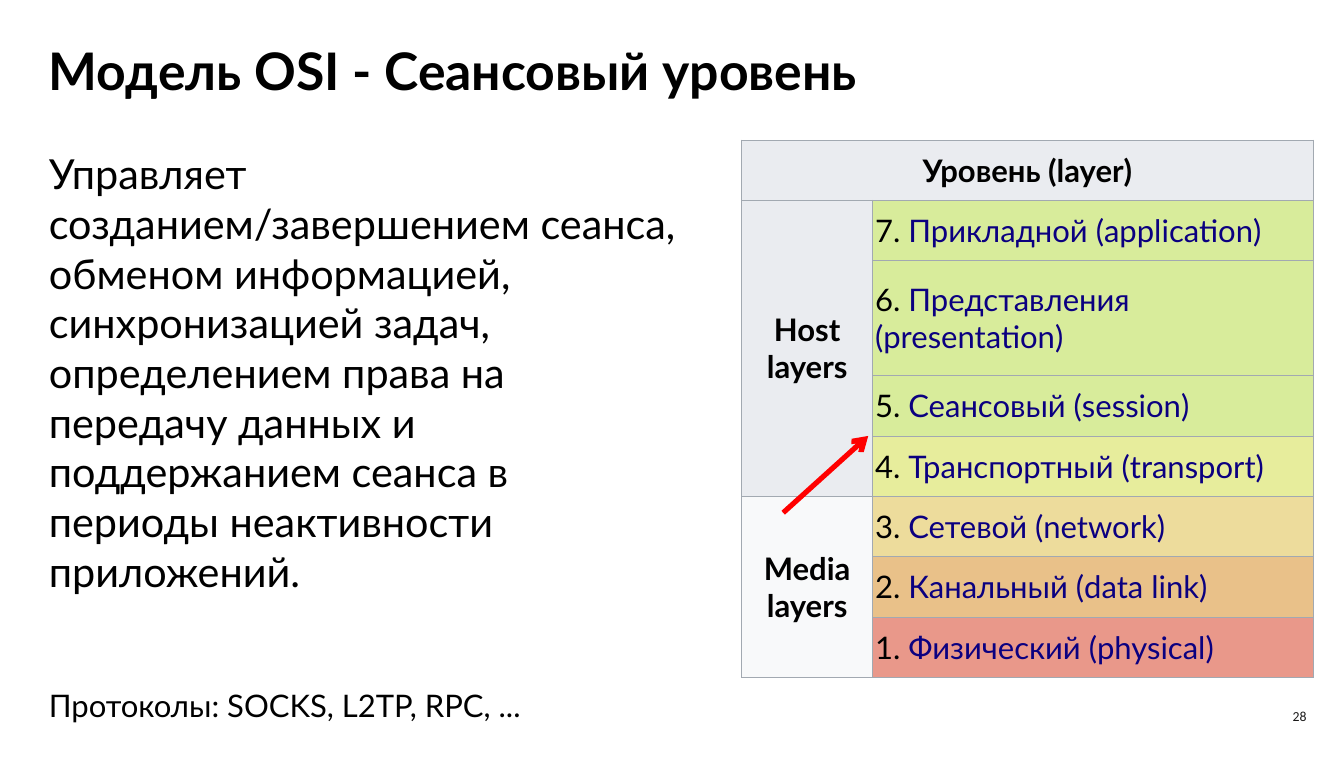
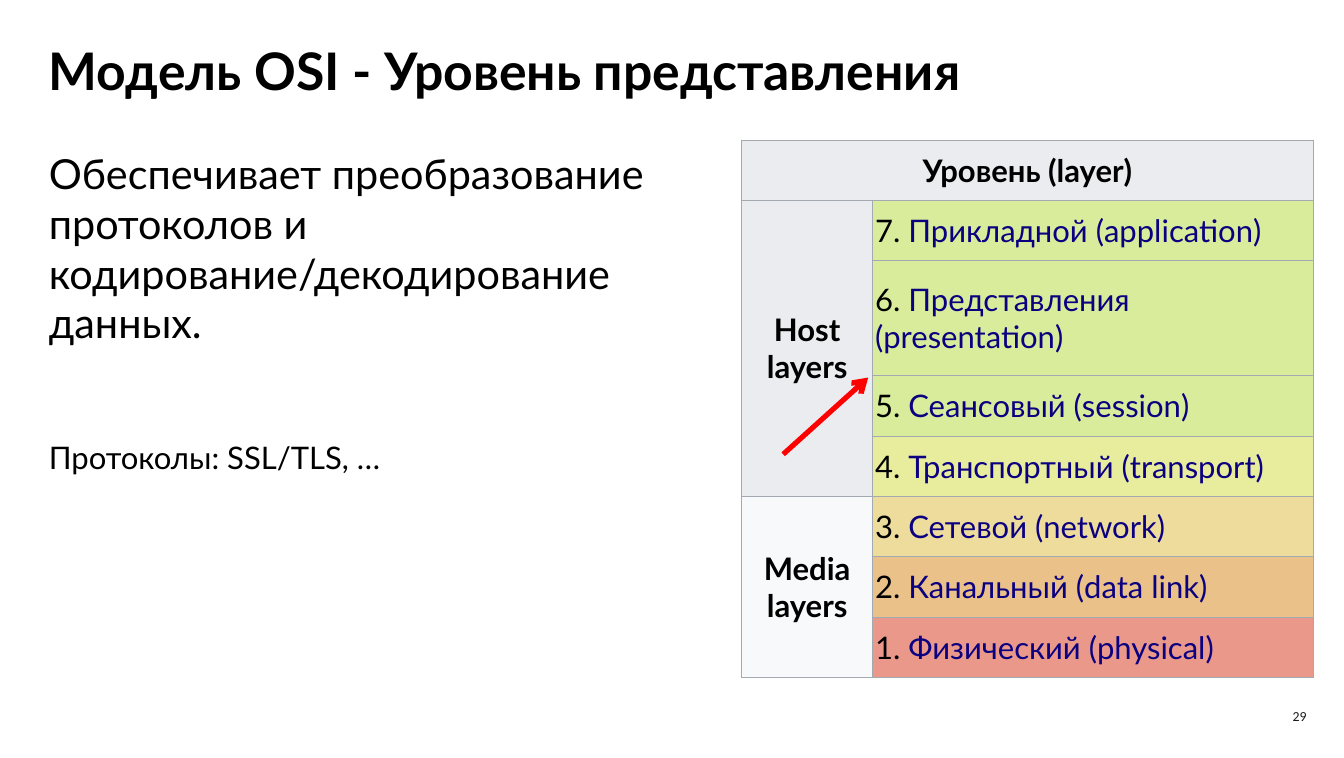
from itertools import accumulate

from lxml.etree import SubElement
from pptx import Presentation
from pptx.dml.color import RGBColor
from pptx.enum.shapes import MSO_CONNECTOR
from pptx.enum.text import MSO_ANCHOR, MSO_AUTO_SIZE, PP_ALIGN
from pptx.oxml.ns import qn
from pptx.util import Cm, Pt

BLACK = RGBColor(0x00, 0x00, 0x00)
NUMBER_GRAY = RGBColor(0x1A, 0x19, 0x19)
LINK_BLUE = RGBColor(0x0B, 0x00, 0x80)
RED = RGBColor(0xFF, 0x00, 0x00)
BORDER_GRAY = RGBColor(0xA2, 0xA9, 0xB1)
HEADER_FILL = RGBColor(0xEA, 0xEC, 0xF0)
MEDIA_FILL = RGBColor(0xF8, 0xF9, 0xFA)
LIME = RGBColor(0xD8, 0xEC, 0x9B)
YELLOW = RGBColor(0xE7, 0xED, 0x9C)
SAND = RGBColor(0xED, 0xDC, 0x9C)
ORANGE = RGBColor(0xE9, 0xC1, 0x89)
CORAL = RGBColor(0xE9, 0x98, 0x8A)

LAYERS = [
    ("7. ", "Прикладной (application)", LIME),
    ("6. ", "Представления (presentation)", LIME),
    ("5. ", "Сеансовый (session)", LIME),
    ("4. ", "Транспортный (transport)", YELLOW),
    ("3. ", "Сетевой (network)", SAND),
    ("2. ", "Канальный (data link)", ORANGE),
    ("1. ", "Физический (physical)", CORAL),
]
GROUPS = [("Host", 4, HEADER_FILL), ("Media", 3, MEDIA_FILL)]
COLUMN_WIDTHS = [5.36, 18.03]
ROW_HEIGHT, TALL_ROW_HEIGHT, TALL_ROW = 2.47, 4.7, 2
LEFT = 2

SLIDES = [
    {
        "number": "28",
        "title": "Модель OSI - Сеансовый уровень",
        "body": "Управляет созданием/завершением сеанса, обменом информацией, "
                "синхронизацией задач, определением права на передачу данных и "
                "поддержанием сеанса в периоды неактивности приложений.",
        "protocols": "Протоколы: SOCKS, L2TP, RPC, ...",
        "body_height": 17.45,
        "arrow_tip": 17.83,
    },
    {
        "number": "29",
        "title": "Модель OSI - Уровень представления",
        "body": "Обеспечивает преобразование протоколов и "
                "кодирование/декодирование данных.",
        "protocols": "Протоколы: SSL/TLS, …",
        "body_height": 13.39,
        "arrow_tip": 15.44,
    },
]


class LayerDeck:
    font = "Lato"

    def __init__(self):
        self.deck = Presentation()
        self.deck.slide_width, self.deck.slide_height = Cm(55), Cm(31)
        self.page = None

    def new_page(self):
        self.page = self.deck.slides.add_slide(self.deck.slide_layouts[6])

    def span(self, para, text, size, color=BLACK, bold=False, font=None):
        run = para.add_run()
        run.text = text
        run.font.name = font or self.font
        run.font.size = Pt(size)
        run.font.bold = bold
        run.font.color.rgb = color

    def text_frame(self, left, top, width, height):
        box = self.page.shapes.add_textbox(Cm(left), Cm(top), Cm(width), Cm(height))
        frame = box.text_frame
        frame.word_wrap = True
        return frame

    def growing_frame(self, top, width, height):
        frame = self.text_frame(LEFT, top, width, height)
        frame.margin_left = frame.margin_right = 0
        frame.margin_top = frame.margin_bottom = 0
        frame.auto_size = MSO_AUTO_SIZE.SHAPE_TO_FIT_TEXT
        return frame

    def page_number(self, number):
        frame = self.text_frame(50.75, 28.68, 2.97, 1.19)
        frame.vertical_anchor = MSO_ANCHOR.MIDDLE
        para = frame.paragraphs[0]
        para.alignment = PP_ALIGN.RIGHT
        self.span(para, number, 16, NUMBER_GRAY, font="Calibri")

    def title(self, text):
        frame = self.growing_frame(1.58, 49.15, 2.54)
        self.span(frame.paragraphs[0], text, 60, bold=True)

    def body(self, text, protocols, height):
        frame = self.growing_frame(6.07, 26.1, height)
        self.span(frame.paragraphs[0], text, 48)
        para = frame.add_paragraph()
        para.space_before = Pt(105.6)
        self.span(para, protocols, 36)

    def style_cell(self, cell, fill):
        cell.margin_left = cell.margin_right = Cm(0.1)
        cell.margin_top = cell.margin_bottom = Cm(0.05)
        cell.vertical_anchor = MSO_ANCHOR.MIDDLE
        properties = cell._tc.get_or_add_tcPr()
        for side in ("a:lnL", "a:lnR", "a:lnT", "a:lnB"):
            line = SubElement(properties, qn(side), w=str(Pt(0.75)))
            solid = SubElement(line, qn("a:solidFill"))
            SubElement(solid, qn("a:srgbClr"), val=str(BORDER_GRAY))
        cell.fill.solid()
        cell.fill.fore_color.rgb = fill

    def heading_cell(self, cell, *lines):
        para = cell.text_frame.paragraphs[0]
        para.alignment = PP_ALIGN.CENTER
        for index, line in enumerate(lines):
            if index:
                para.add_line_break()
            self.span(para, line, 36, bold=True)

    def layer_table(self):
        heights = [ROW_HEIGHT] * (len(LAYERS) + 1)
        heights[TALL_ROW] = TALL_ROW_HEIGHT
        table = self.page.shapes.add_table(
            len(heights), len(COLUMN_WIDTHS), Cm(30.35), Cm(5.72),
            Cm(sum(COLUMN_WIDTHS)), Cm(sum(heights))).table
        table.first_row = table.horz_banding = False
        for column, width in zip(table.columns, COLUMN_WIDTHS):
            column.width = Cm(width)
        for row, height in zip(table.rows, heights):
            row.height = Cm(height)

        for column in range(len(COLUMN_WIDTHS)):
            self.style_cell(table.cell(0, column), HEADER_FILL)
        table.cell(0, 0).merge(table.cell(0, 1))
        self.heading_cell(table.cell(0, 0), "Уровень (layer)")

        starts = accumulate([1] + [count for _, count, _ in GROUPS])
        for start, (name, count, fill) in zip(starts, GROUPS):
            for row in range(start, start + count):
                self.style_cell(table.cell(row, 0), fill)
            table.cell(start, 0).merge(table.cell(start + count - 1, 0))
            self.heading_cell(table.cell(start, 0), name, "layers")

        for row, (number, name, fill) in enumerate(LAYERS, start=1):
            cell = table.cell(row, 1)
            self.style_cell(cell, fill)
            para = cell.text_frame.paragraphs[0]
            self.span(para, number, 36)
            self.span(para, name, 36, LINK_BLUE)

    def arrow(self, tip):
        connector = self.page.shapes.add_connector(
            MSO_CONNECTOR.STRAIGHT, Cm(32.05), Cm(tip + 3.14), Cm(35.53), Cm(tip))
        connector.line.color.rgb = RED
        connector.line.width = Pt(6)
        SubElement(connector.line._get_or_add_ln(), qn("a:tailEnd"), type="arrow")
        SubElement(connector._element.spPr, qn("a:effectLst"))


def main():
    layers = LayerDeck()
    for content in SLIDES:
        layers.new_page()
        layers.page_number(content["number"])
        layers.title(content["title"])
        layers.layer_table()
        layers.body(content["body"], content["protocols"], content["body_height"])
        layers.arrow(content["arrow_tip"])
    layers.deck.save("out.pptx")


if __name__ == "__main__":
    main()
